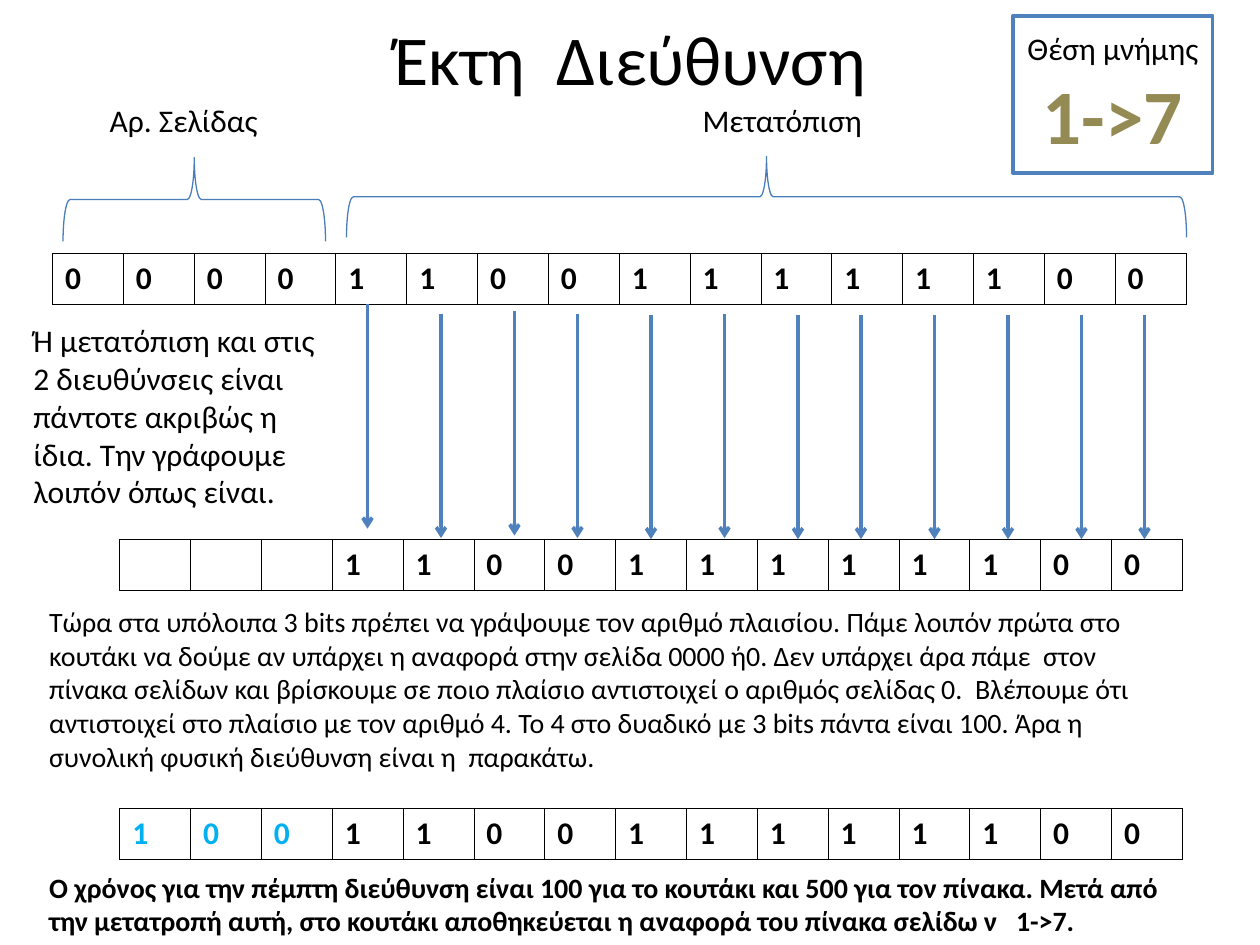
from lxml import etree
from pptx import Presentation
from pptx import util as u
from pptx.dml.color import RGBColor
from pptx.enum import shapes, text
from pptx.oxml import ns

COLUMNS, ROWS = 240, 180
SLIDE_WIDTH, SLIDE_HEIGHT = u.Inches(10), u.Inches(7.5)
BIT_WIDTH, BIT_HEIGHT = 13.5, 9.7
FONT = "Calibri"
BLACK, WHITE, BLUE = "000000", "FFFFFF", "4F81BD"
BRACE_BLUE, FRAME_BLUE, OLIVE = "4A7EBB", "00B0F0", "948A54"

OFFSET_NOTE = (
    "Ή μετατόπιση και στις 2 διευθύνσεις είναι πάντοτε ακριβώς η ίδια. "
    "Την γράφουμε λοιπόν όπως είναι."
)
FRAME_NOTE = (
    "Τώρα στα υπόλοιπα 3 bits πρέπει να γράψουμε τον αριθμό πλαισίου. "
    "Πάμε λοιπόν πρώτα στο κουτάκι να δούμε αν υπάρχει η αναφορά στην σελίδα 0000 ή0. "
    "Δεν υπάρχει άρα πάμε  στον πίνακα σελίδων και βρίσκουμε σε ποιο πλαίσιο "
    "αντιστοιχεί ο αριθμός σελίδας 0.  Βλέπουμε ότι αντιστοιχεί στο πλαίσιο με τον "
    "αριθμό 4. Το 4 στο δυαδικό με 3 bits πάντα είναι 100. Άρα η συνολική φυσική "
    "διεύθυνση είναι η  παρακάτω."
)
TIME_NOTE = (
    "Ο χρόνος για την πέμπτη διεύθυνση είναι 100 για το κουτάκι και 500 για τον "
    "πίνακα. Μετά από την μετατροπή αυτή, στο κουτάκι αποθηκεύεται η αναφορά του "
    "πίνακα σελίδω ν   1->7."
)


def color(hex_value):
    return RGBColor.from_string(hex_value)


def across(columns):
    return int(SLIDE_WIDTH * columns / COLUMNS)


def down(rows):
    return int(SLIDE_HEIGHT * rows / ROWS)


def area(left, top, width, height):
    return across(left), down(top), across(width), down(height)


def format_paragraph(paragraph, size, hex_value=BLACK, bold=False, centred=False):
    paragraph.alignment = text.PP_ALIGN.CENTER if centred else text.PP_ALIGN.LEFT
    for run in paragraph.runs:
        run.font.name = FONT
        run.font.size = u.Pt(size)
        run.font.bold = bold
        run.font.color.rgb = color(hex_value)


def add_label(slide, place, wording, size, bold=False, centred=False):
    frame = slide.shapes.add_textbox(*area(*place)).text_frame
    frame.word_wrap = True
    frame.text = wording
    format_paragraph(frame.paragraphs[0], size, bold=bold, centred=centred)
    return frame


def add_cell_borders(cell):
    properties = cell._tc.get_or_add_tcPr()
    for position, side in enumerate(("lnL", "lnR", "lnT", "lnB")):
        border = etree.Element(ns.qn(f"a:{side}"), w=str(u.Pt(0.45)))
        fill = etree.SubElement(border, ns.qn("a:solidFill"))
        etree.SubElement(fill, ns.qn("a:srgbClr"), val=BLACK)
        properties.insert(position, border)


def add_address(slide, left, top, bits, frame_bits=0):
    place = area(left, top, BIT_WIDTH * len(bits), BIT_HEIGHT)
    address = slide.shapes.add_table(1, len(bits), *place).table
    address.first_row = address.horz_banding = False
    for index, bit in enumerate(bits):
        address.columns[index].width = across(BIT_WIDTH)
        cell = address.cell(0, index)
        cell.fill.solid()
        cell.fill.fore_color.rgb = color(WHITE)
        add_cell_borders(cell)
        cell.text_frame.text = bit.strip()
        bit_color = FRAME_BLUE if index < frame_bits else BLACK
        format_paragraph(cell.text_frame.paragraphs[0], 18, bit_color, bold=True)


def add_brace(slide, left, top, width, height):
    middle, centre = left + width / 2, top + height / 2
    place = area(middle - height / 2, centre - width / 2, height, width)
    brace = slide.shapes.add_shape(shapes.MSO_SHAPE.LEFT_BRACE, *place)
    brace.rotation = 90
    brace.shadow.inherit = False
    brace.fill.background()
    brace.line.color.rgb = color(BRACE_BLUE)
    brace.line.width = u.Pt(0.75)


def add_copy_arrow(slide, column, top, length):
    arrow = slide.shapes.add_connector(
        shapes.MSO_CONNECTOR.STRAIGHT,
        across(column), down(top), across(column), down(top + length),
    )
    arrow.line.color.rgb = color(BLUE)
    arrow.line.width = u.Pt(2)
    etree.SubElement(arrow.line._get_or_add_ln(), ns.qn("a:tailEnd"), type="arrow")
    etree.SubElement(arrow._element.spPr, ns.qn("a:effectLst"))


def add_copy_arrows(slide):
    tops = [58, 59.8, 59.3, 59.8, 60, 59.8] + [60] * 6
    for index, top in enumerate(tops):
        group, member = divmod(index, 4)
        column = 70 + 54 * group + (0, 14, 28, 40)[member]
        add_copy_arrow(slide, column, top, 42.7)


def add_memory_box(slide):
    box = slide.shapes.add_shape(shapes.MSO_SHAPE.RECTANGLE, *area(193, 3, 38, 30))
    box.shadow.inherit = False
    box.fill.solid()
    box.fill.fore_color.rgb = color(WHITE)
    box.line.color.rgb = color(BLUE)
    box.line.width = u.Pt(2)
    frame = box.text_frame
    frame.vertical_anchor = text.MSO_ANCHOR.MIDDLE
    frame.text = "Θέση μνήμης\n1->7"
    caption, location = frame.paragraphs
    format_paragraph(caption, 18, centred=True)
    format_paragraph(location, 44, OLIVE, bold=True, centred=True)


def main():
    deck = Presentation()
    deck.slide_width, deck.slide_height = SLIDE_WIDTH, SLIDE_HEIGHT
    slide = deck.slides.add_slide(deck.slide_layouts[6])

    title = add_label(slide, (12, 1, 216, 20), "Έκτη  Διεύθυνση", 40, centred=True)
    title.vertical_anchor = text.MSO_ANCHOR.MIDDLE

    page, offset = "0000", "110011111100"
    add_address(slide, 10, 48.25, page + offset)
    add_brace(slide, 12, 30, 50, 16)
    add_brace(slide, 66, 29.8, 160, 15.4)
    add_label(slide, (12, 18, 46, 9.6), "Αρ. Σελίδας", 18, centred=True)
    add_label(slide, (86, 18, 126, 9.6), "Μετατόπιση", 18, centred=True)
    add_label(slide, (4, 60, 62, 38.4), OFFSET_NOTE, 18)

    add_address(slide, 22.8, 102.75, "   " + offset)
    add_copy_arrows(slide)
    add_address(slide, 22.8, 154, "100" + offset, frame_bits=3)
    add_memory_box(slide)
    add_label(slide, (7, 114, 219, 34.5), FRAME_NOTE, 16)
    add_label(slide, (7, 164.6, 219, 15.4), TIME_NOTE, 16, bold=True)
    deck.save("out.pptx")


if __name__ == "__main__":
    main()
